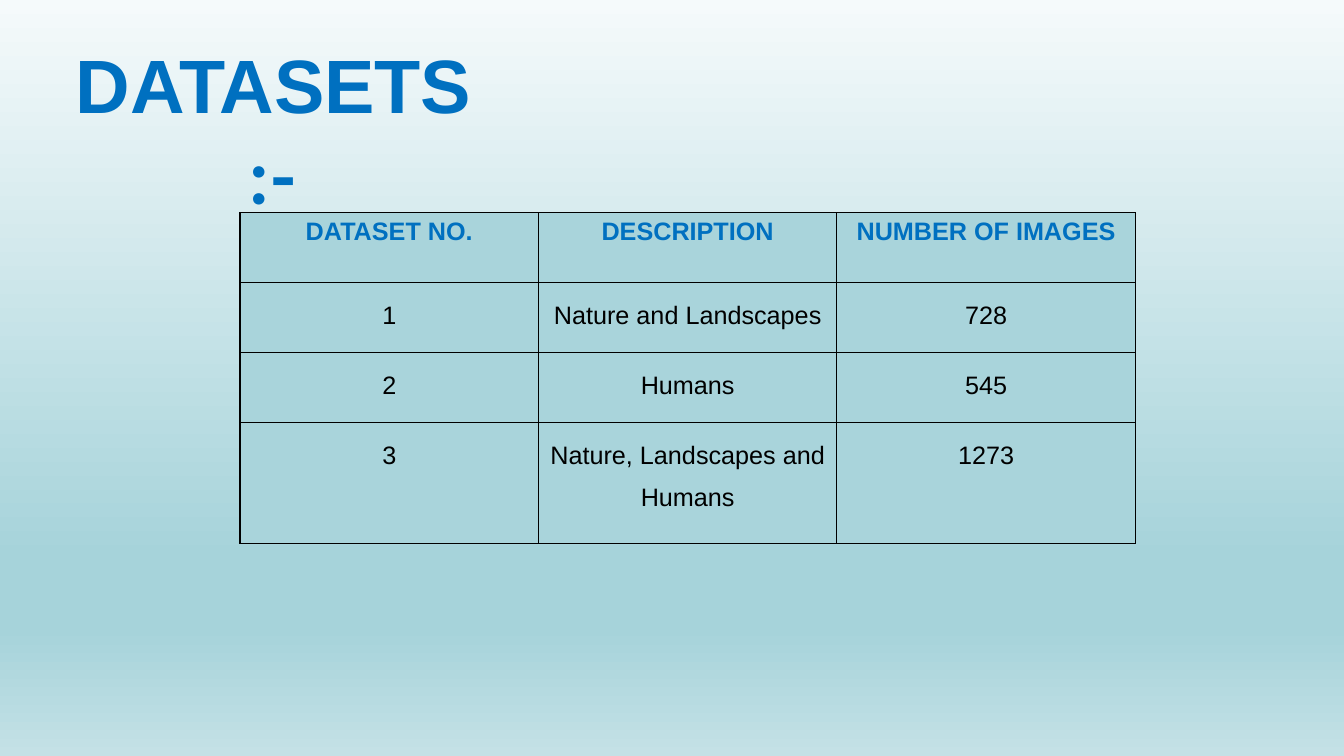
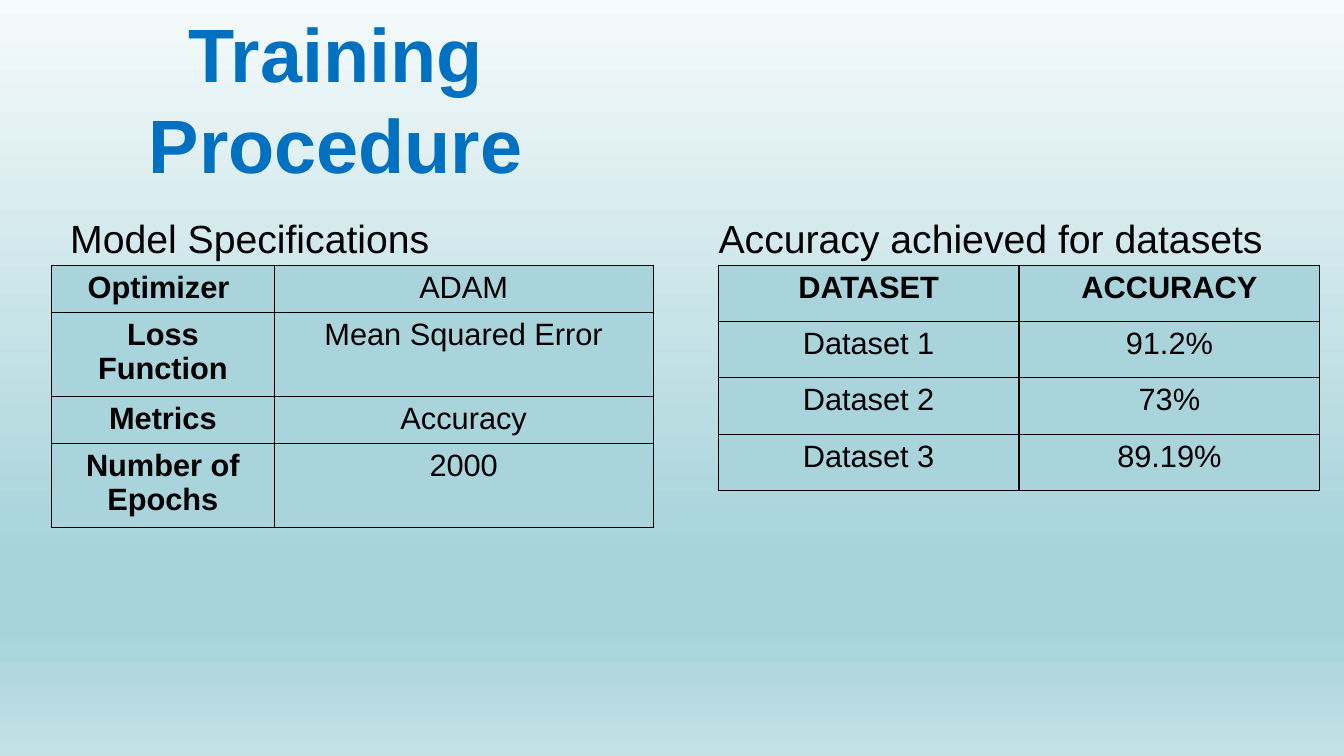
from pptx import Presentation
from pptx.dml.color import RGBColor
from pptx.enum import text as kinds
from pptx.oxml import parse_xml
from pptx.oxml.ns import nsdecls, qn
from pptx.util import Cm, Pt

BLUE = RGBColor(0x00, 0x70, 0xC0)
BLACK = RGBColor(0x00, 0x00, 0x00)
TEAL = RGBColor(0xA9, 0xD4, 0xDB)
SHADES = [
    (0, RGBColor(0xF5, 0xFA, 0xFB)),
    (74, RGBColor(0xA6, 0xD3, 0xDA)),
    (83, RGBColor(0xA6, 0xD3, 0xDA)),
    (100, RGBColor(0xC4, 0xE1, 0xE6)),
]
LEFT, MID = kinds.PP_ALIGN.LEFT, kinds.PP_ALIGN.CENTER
TITLE = dict(size=54, color=BLUE, bold=True, align=MID)

SLIDES = [
    dict(
        title=([("DATASETS", "Arial"), (":-", "Lato")], (1.6, 0.84, 10.59, 2.57)),
        labels=[],
        tables=[
            dict(
                at=(6.05, 5.36),
                cols=[7.52] * 3,
                rows=[1.76, 1.76, 1.76, 3.05],
                size=18, tint=BLUE, gap=1.5, head="row",
                cells=[
                    ("DATASET NO.", "DESCRIPTION", "NUMBER OF IMAGES"),
                    ("1", "Nature and Landscapes", "728"),
                    ("2", "Humans", "545"),
                    ("3", "Nature, Landscapes and Humans", "1273"),
                ],
            ),
        ],
    ),
    dict(
        title=([("Training Procedure", "Arial")], (0, 0.05, 16.92, 2.57)),
        labels=[
            ("Model Specifications", (1.52, 5.28, 10.62, 1.45)),
            ("Accuracy achieved for datasets", (17.86, 5.28, 15.62, 1.45)),
        ],
        tables=[
            dict(
                at=(1.3, 6.68),
                cols=[5.61, 9.55],
                rows=[1.18, 2.12] * 2,
                size=22, tint=BLACK, gap=1.0, head="col",
                cells=[
                    ("Optimizer ", "ADAM"),
                    ("Loss Function", "Mean Squared Error"),
                    ("Metrics", "Accuracy"),
                    ("Number of Epochs", "2000"),
                ],
            ),
            dict(
                at=(18.1, 6.68),
                cols=[7.58] * 2,
                rows=[1.42] * 4,
                size=22, tint=BLACK, gap=1.0, head="row",
                cells=[
                    ("DATASET", "ACCURACY"),
                    ("Dataset 1", "91.2%"),
                    ("Dataset 2", "73%"),
                    ("Dataset 3", "89.19%"),
                ],
            ),
        ],
    ),
]


def write(frame, runs, size=28, color=BLACK, bold=False, align=LEFT, gap=1.0):
    frame.word_wrap = True
    para = frame.paragraphs[0]
    para.alignment = align
    para.line_spacing = gap
    for words, face in runs:
        run = para.add_run()
        run.text = words
        font = run.font
        font.name, font.size, font.bold = face, Pt(size), bold
        font.color.rgb = color


def label(slide, runs, box, **form):
    shape = slide.shapes.add_textbox(*map(Cm, box))
    write(shape.text_frame, runs, **form)


def border(cell):
    props = cell._tc.get_or_add_tcPr()
    for spot, side in enumerate(("lnL", "lnR", "lnT", "lnB")):
        props.insert(spot, parse_xml(
            f'<a:{side} {nsdecls("a")} w="{Pt(1)}"><a:solidFill>'
            f'<a:srgbClr val="{BLACK}"/></a:solidFill></a:{side}>'))


def grid(slide, data):
    cols, rows = data["cols"], data["rows"]
    size = map(Cm, (*data["at"], sum(cols), sum(rows)))
    table = slide.shapes.add_table(len(rows), len(cols), *size).table
    table.first_row = table.horz_banding = False
    for col, width in zip(table.columns, cols):
        col.width = Cm(width)
    for row, height in zip(table.rows, rows):
        row.height = Cm(height)
    for y, line in enumerate(data["cells"]):
        for x, words in enumerate(line):
            cell = table.cell(y, x)
            head = (y if data["head"] == "row" else x) == 0
            write(cell.text_frame, [(words, "Arial")], size=data["size"],
                  color=data["tint"] if head else BLACK, bold=head,
                  align=MID, gap=1.0 if head else data["gap"])
            cell.fill.solid()
            cell.fill.fore_color.rgb = TEAL
            border(cell)


def shade(master):
    fill = master.background.fill
    fill.gradient()
    fill.gradient_angle = 270
    stops = next(master._element.iter(qn("a:gsLst")))
    for old in list(stops):
        stops.remove(old)
    for spot, color in SHADES:
        stops.append(parse_xml(
            f'<a:gs {nsdecls("a")} pos="{spot * 1000}">'
            f'<a:srgbClr val="{color}"/></a:gs>'))


def main():
    deck = Presentation()
    deck.slide_width, deck.slide_height = Cm(33.87), Cm(19.05)
    shade(deck.slide_master)
    for page in SLIDES:
        slide = deck.slides.add_slide(deck.slide_layouts[6])
        runs, box = page["title"]
        label(slide, runs, box, **TITLE)
        for data in page["tables"]:
            grid(slide, data)
        for words, box in page["labels"]:
            label(slide, [(words, "Arial")], box)
    deck.save("out.pptx")


if __name__ == "__main__":
    main()
